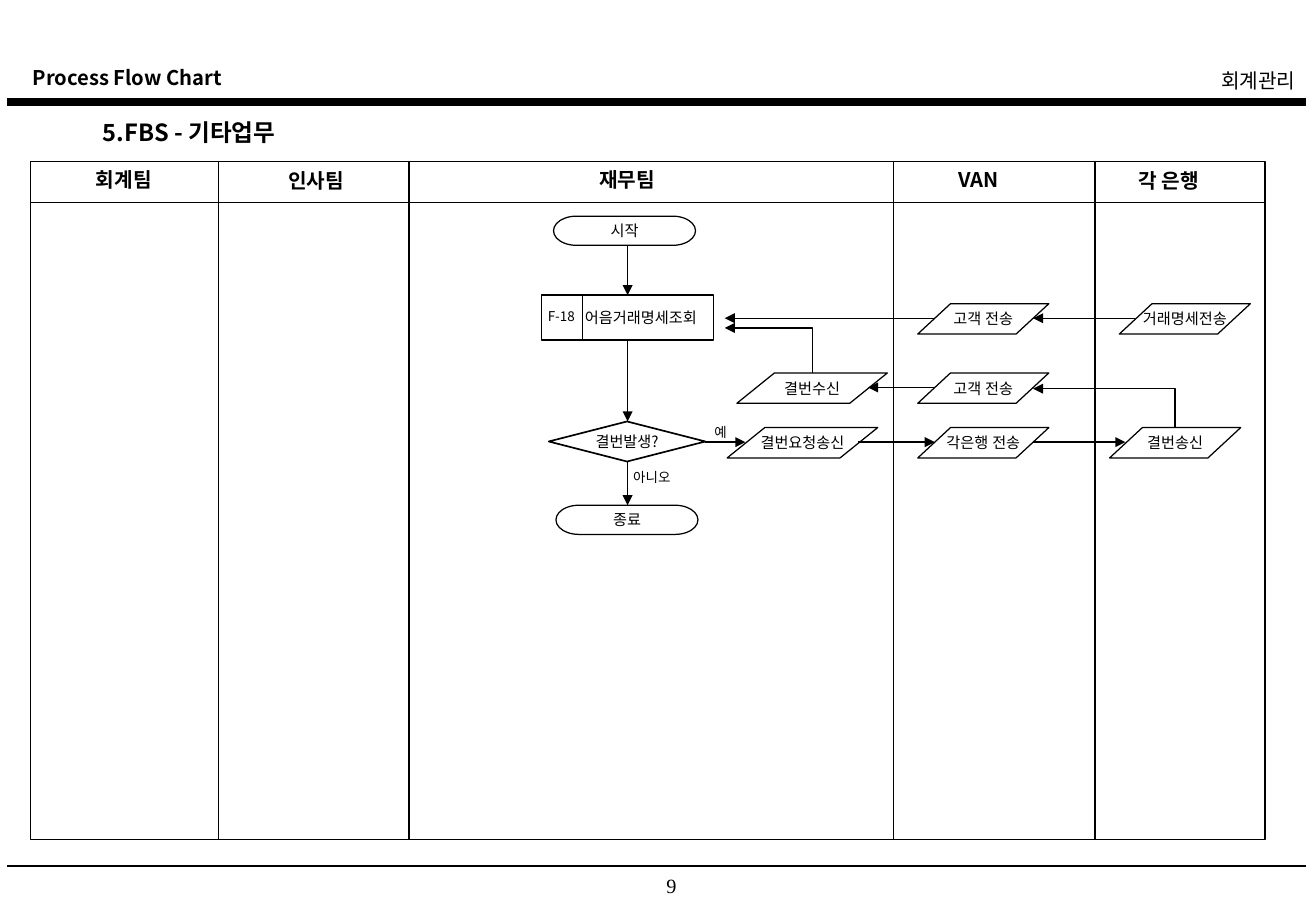
from collections import namedtuple
from lxml import etree
from pptx import Presentation
from pptx import util as u
from pptx.dml.color import RGBColor
from pptx.enum import shapes, text
from pptx.oxml import ns

BLACK = RGBColor(0, 0, 0)
KOREAN, LATIN, SERIF = "Noto Sans CJK KR", "Lato", "Times New Roman"
LEFT, CENTER, RIGHT = text.PP_ALIGN.LEFT, text.PP_ALIGN.CENTER, text.PP_ALIGN.RIGHT
KIND = shapes.MSO_SHAPE
Box = namedtuple("Box", "left top width height")


def inside(region, left, top, width, height):
    """Return a box placed relative to the corner of a region."""
    return Box(region.left + left, region.top + top, width, height)


def write(shape, words, size, font=KOREAN, bold=False, align=CENTER):
    """Put one formatted paragraph into a shape and return it."""
    para = shape.text_frame.paragraphs[0]
    para.text = words
    para.alignment = align
    span = para.runs[0]
    span.font.size, span.font.bold, span.font.name = u.Pt(size), bold, font
    span.font.color.rgb = BLACK
    east_asian = etree.Element(ns.qn("a:ea"), typeface=font)
    span.font._element.find(ns.qn("a:latin")).addnext(east_asian)
    return para


def add_label(page, box, words, size, **style):
    """Add a wrapping text box."""
    label = page.shapes.add_textbox(*map(u.Inches, box))
    label.text_frame.word_wrap = True
    write(label, words, size, **style)
    return label


def add_outline(page, kind, box, weight=0.75):
    """Add an unfilled shape with a black outline."""
    shape = page.shapes.add_shape(kind, *map(u.Inches, box))
    shape.shadow.inherit = False
    shape.fill.background()
    shape.line.color.rgb = BLACK
    shape.line.width = u.Pt(weight)
    return shape


def add_node(page, kind, box, words, font=KOREAN, weight=0.75):
    """Add a flow chart symbol with centred text."""
    node = add_outline(page, kind, box, weight)
    node.text_frame.word_wrap = False
    node.text_frame.vertical_anchor = text.MSO_ANCHOR.MIDDLE
    write(node, words, 9, font)
    return node


def add_line(page, start, end, weight=0.75, arrow=None, kind=shapes.MSO_CONNECTOR.STRAIGHT):
    """Add a connector, with an arrowhead at headEnd or tailEnd if asked."""
    line = page.shapes.add_connector(kind, *map(u.Inches, (*start, *end)))
    line.line.color.rgb = BLACK
    line.line.width = u.Pt(weight)
    properties = line.element.spPr
    if arrow:
        etree.SubElement(properties.find(ns.qn("a:ln")), ns.qn("a:" + arrow), type="triangle")
    etree.SubElement(properties, ns.qn("a:effectLst"))
    return line


def add_corner_arrow(page, start, tip):
    """Add an arrow that rises from its start and then turns left to its tip."""
    line = add_line(page, tip, start, arrow="headEnd", kind=shapes.MSO_CONNECTOR.ELBOW)
    line.element.spPr.find(ns.qn("a:prstGeom")).set("prst", "bentConnector2")


def draw_header(page, box):
    """Draw the running titles, the thick rule and the slide title."""
    add_label(page, inside(box, 0.11, 0, 4.35, 0.3), "Process Flow Chart", 12, bold=True, align=LEFT)
    add_label(page, inside(box, box.width - 4.68, 0.02, 4.69, 0.5), "회계관리", 12, align=RIGHT)
    rule = box.top + 0.35
    add_line(page, (box.left, rule), (box.left + box.width, rule), 4.5)
    add_label(page, inside(box, 0.69, 0.43, 2.3, 0.34), "5.FBS - 기타업무", 14, bold=True, align=LEFT)


def draw_footer(page, box):
    """Draw the thin rule and the page number."""
    add_line(page, (box.left, box.top), (box.left + box.width, box.top), 1)
    number = add_label(page, inside(box, 4.96, 0.01, 0.78, 0.27), "9", 12, font=SERIF)
    number.text_frame.margin_left = u.Inches(0.34)


def draw_lanes(page, box):
    """Draw the frame, the lane dividers and the lane headings."""
    add_outline(page, KIND.RECTANGLE, box)
    heading_rule = box.top + 0.34
    add_line(page, (box.left, heading_rule), (box.left + box.width, heading_rule))
    for offset in (1.55, 3.12, 7.11, 8.77):
        divider = box.left + offset
        add_line(page, (divider, box.top), (divider, box.top + box.height))
    headings = [("회계팀", 0, 0, 1.54), ("인사팀", 1.7, 0.01, 1.31), ("재무팀", 3.75, 0, 2.33),
                ("VAN", 6.85, 0, 1.92), ("각 은행", 8.63, 0.01, 1.5)]
    for words, left, top, width in headings:
        label = add_label(page, inside(box, left, top, width, 0.3), words, 12, bold=True)
        label.text_frame.paragraphs[0].space_before = u.Pt(7.5)


def draw_process(page, box):
    """Draw the numbered process with its code cell."""
    add_outline(page, KIND.FLOWCHART_PROCESS, box)
    divider = box.left + 0.34
    add_line(page, (divider, box.top), (divider, box.top + box.height))
    name = add_label(page, inside(box, 0.26, 0.11, 1.25, 0.15), "어음거래명세조회", 9, align=LEFT)
    code = add_label(page, inside(box, 0, 0.11, 0.33, 0.13), "F-18", 8)
    code.text_frame.margin_left = code.text_frame.margin_right = 0
    for label in (name, code):
        label.text_frame.margin_top = label.text_frame.margin_bottom = 0
        label.text_frame.vertical_anchor = text.MSO_ANCHOR.MIDDLE


def draw_flow(page, box):
    """Draw the flow chart below the lane headings."""
    inquiry_row, reply_row, request_row = 0.83, 1.4, 1.85
    data_height, middle = 0.25, 0.12
    add_node(page, KIND.FLOWCHART_TERMINATOR, inside(box, 4.31, 0.11, 1.17, 0.24), "시작")
    add_node(page, KIND.FLOWCHART_TERMINATOR, inside(box, 4.33, 2.49, 1.17, 0.24), "종료")
    add_node(page, KIND.DIAMOND, inside(box, 4.27, 1.8, 1.29, 0.33), "결번발생?", weight=1)
    draw_process(page, inside(box, 4.21, 0.76, 1.42, 0.37))
    add_label(page, inside(box, 4.68, 2.14, 0.88, 0.24), "아니오", 8)
    add_label(page, inside(box, 5.52, 1.77, 0.33, 0.24), "예", 8)

    transfers = [("거래명세전송", 8.97, inquiry_row, 1.08), ("고객 전송", 7.31, inquiry_row, 1.08),
                 ("결번수신", 5.82, reply_row, 1.24), ("고객 전송", 7.31, reply_row, 1.08),
                 ("결번요청송신", 5.74, request_row, 1.24), ("각은행 전송", 7.31, request_row, 1.08),
                 ("결번송신", 8.89, request_row, 1.08)]
    for words, left, row, width in transfers:
        place = inside(box, left, row, width, data_height)
        node = add_node(page, KIND.PARALLELOGRAM, place, words, LATIN)
        node.adjustments[0] = width / 4 / data_height

    spine = box.left + 4.92
    for start, end in ((0.35, 0.76), (1.14, 1.8), (2.13, 2.49)):
        add_line(page, (spine, box.top + start), (spine, box.top + end), arrow="tailEnd")
    hops = [(inquiry_row, 9.1, 8.26), (inquiry_row, 7.45, 5.72), (reply_row, 7.45, 6.9),
            (request_row, 5.56, 5.89), (request_row, 6.82, 7.45), (request_row, 8.26, 9.02)]
    for row, start, end in hops:
        level = box.top + row + middle
        add_line(page, (box.left + start, level), (box.left + end, level), arrow="tailEnd")
    for start, tip in (((9.43, 1.85), (8.26, 1.53)), ((6.44, 1.4), (5.72, 1.03))):
        add_corner_arrow(page, (box.left + start[0], box.top + start[1]),
                         (box.left + tip[0], box.top + tip[1]))


def main():
    """Build the slide and save it."""
    deck = Presentation()
    deck.slide_width, deck.slide_height = u.Inches(10.84), u.Inches(7.5)
    page = deck.slides.add_slide(deck.slide_layouts[6])
    draw_header(page, Box(0.06, 0.49, 10.7, 0.77))
    draw_lanes(page, Box(0.25, 1.33, 10.17, 5.58))
    draw_flow(page, Box(0.25, 1.67, 10.17, 5.24))
    draw_footer(page, Box(0.06, 7.13, 10.7, 0.3))
    deck.save("out.pptx")


if __name__ == "__main__":
    main()
